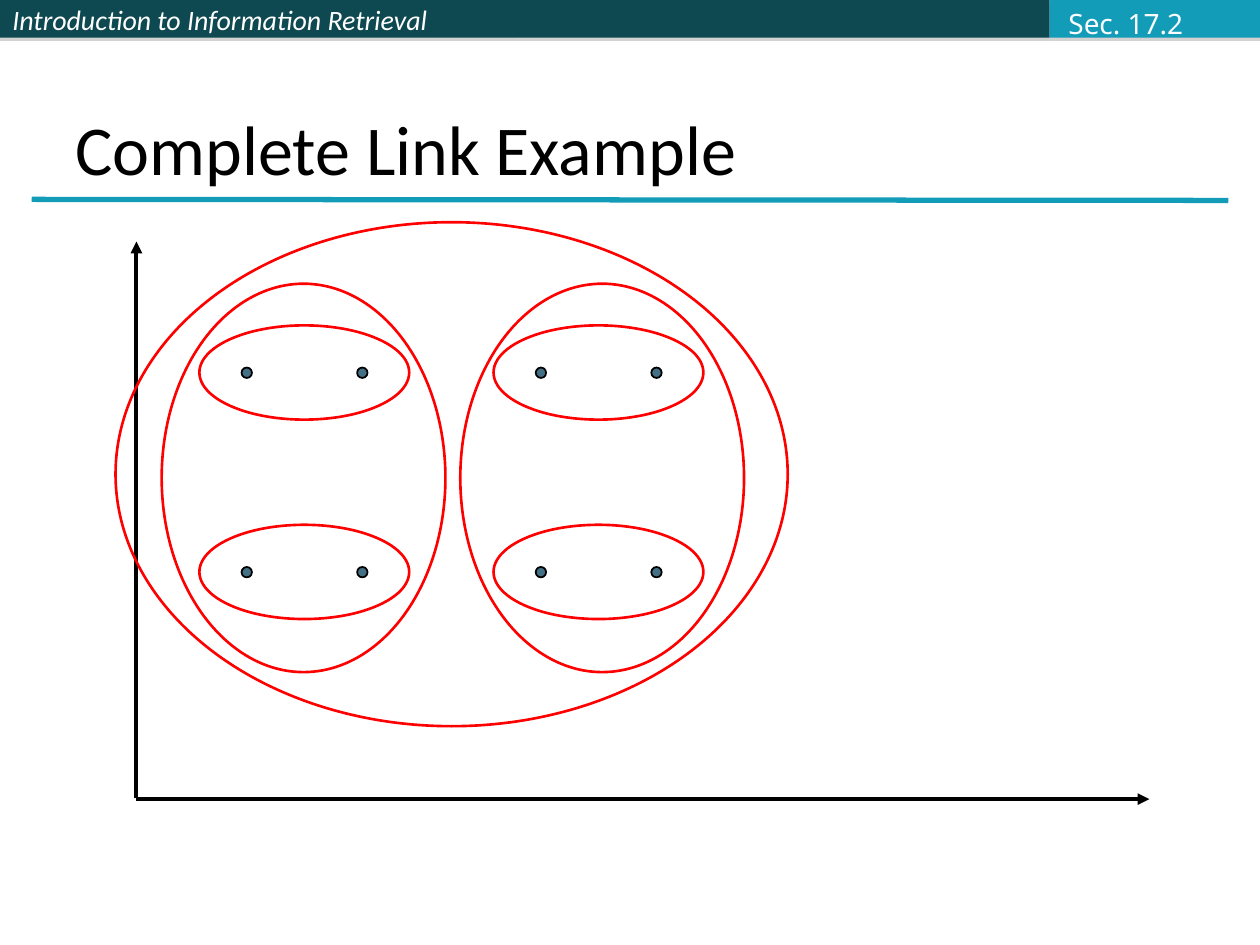
from lxml.etree import SubElement
from pptx import Presentation
from pptx.dml.color import RGBColor
from pptx.enum.shapes import MSO_CONNECTOR, MSO_SHAPE
from pptx.enum.text import MSO_ANCHOR, PP_ALIGN
from pptx.oxml import parse_xml
from pptx.oxml.ns import nsdecls, qn
from pptx.util import Cm, Pt

BAR_SHADOW = (
    f'<a:effectLst {nsdecls("a")}><a:outerShdw dist="22860" dir="5400000">'
    '<a:srgbClr val="808080"><a:alpha val="35000"/></a:srgbClr>'
    '</a:outerShdw></a:effectLst>'
)


def color(hex_value):
    return RGBColor.from_string(hex_value)


def style_text(frame, text, size, font_name, hex_value):
    frame.text = text
    paragraph = frame.paragraphs[0]
    paragraph.alignment = PP_ALIGN.LEFT
    paragraph.font.size = Pt(size)
    paragraph.font.name = font_name
    paragraph.font.color.rgb = color(hex_value)
    return paragraph


prs = Presentation()
prs.slide_width, prs.slide_height = Cm(25.4), Cm(19.05)
slide = prs.slides.add_slide(prs.slide_layouts[5])
shapes = slide.shapes

header_bars = []
for left, width, fill in [(0, 10.36, "0E4851"), (10.36, 10.8, "0E4851"), (21.16, 4.24, "139CB7")]:
    bar = shapes.add_shape(MSO_SHAPE.RECTANGLE, Cm(left), Cm(0), Cm(width), Cm(0.76))
    bar.fill.solid()
    bar.fill.fore_color.rgb = color(fill)
    bar.line.fill.background()
    bar._element.spPr.append(parse_xml(BAR_SHADOW))
    header_bars.append(bar)

course = header_bars[0].text_frame
course.vertical_anchor = MSO_ANCHOR.MIDDLE
style_text(course, "Introduction to Information Retrieval", 16, "Calibri", "FFFFFF").font.italic = True

title = shapes.title
title.left, title.top, title.width, title.height = Cm(1.27), Cm(0.76), Cm(22.86), Cm(3.18)
title.text_frame.vertical_anchor = MSO_ANCHOR.BOTTOM
style_text(title.text_frame, "Complete Link Example", 40, "Calibri", "000000")

for x1, y1, x2, y2, stroke, weight, is_axis in [
    (0.64, 4.02, 24.76, 4.04, "139CB7", 3, False),
    (2.75, 16.09, 2.75, 4.87, "000000", 2.25, True),
    (2.75, 16.11, 23.17, 16.11, "000000", 2.25, True),
]:
    rule = shapes.add_connector(MSO_CONNECTOR.STRAIGHT, Cm(x1), Cm(y1), Cm(x2), Cm(y2))
    rule.line.color.rgb = color(stroke)
    rule.line.width = Pt(weight)
    if is_axis:
        SubElement(rule.line._get_or_add_ln(), qn("a:tailEnd"), type="triangle")
    SubElement(rule._element.spPr, qn("a:effectLst"))

pair_corners = [(x, y) for x in (4.02, 9.95) for y in (6.56, 10.58)]
points = [(x + dx, y + 0.85, 0.21, 0.21) for x, y in pair_corners for dx in (0.85, 3.18)]
pairs = [(x, y, 4.23, 1.9) for x, y in pair_corners]
columns = [(x, 5.72, 5.72, 7.83) for x in (3.26, 9.28)]
whole = [(2.33, 4.48, 13.55, 10.16)]

for ovals, fill, stroke, weight in [
    (points, "437085", "000000", 1),
    (pairs + columns + whole, None, "FF0000", 1.5),
]:
    for box in ovals:
        oval = shapes.add_shape(MSO_SHAPE.OVAL, *map(Cm, box))
        oval.shadow.inherit = False
        if fill:
            oval.fill.solid()
            oval.fill.fore_color.rgb = color(fill)
        else:
            oval.fill.background()
        oval.line.color.rgb = color(stroke)
        oval.line.width = Pt(weight)

section = shapes.add_textbox(Cm(21.29), Cm(0), Cm(2.82), Cm(0.94)).text_frame
section.word_wrap = False
section.vertical_anchor = MSO_ANCHOR.MIDDLE
style_text(section, "Sec. 17.2", 16, "Noto Sans", "FBFCFF")

prs.save("out.pptx")
